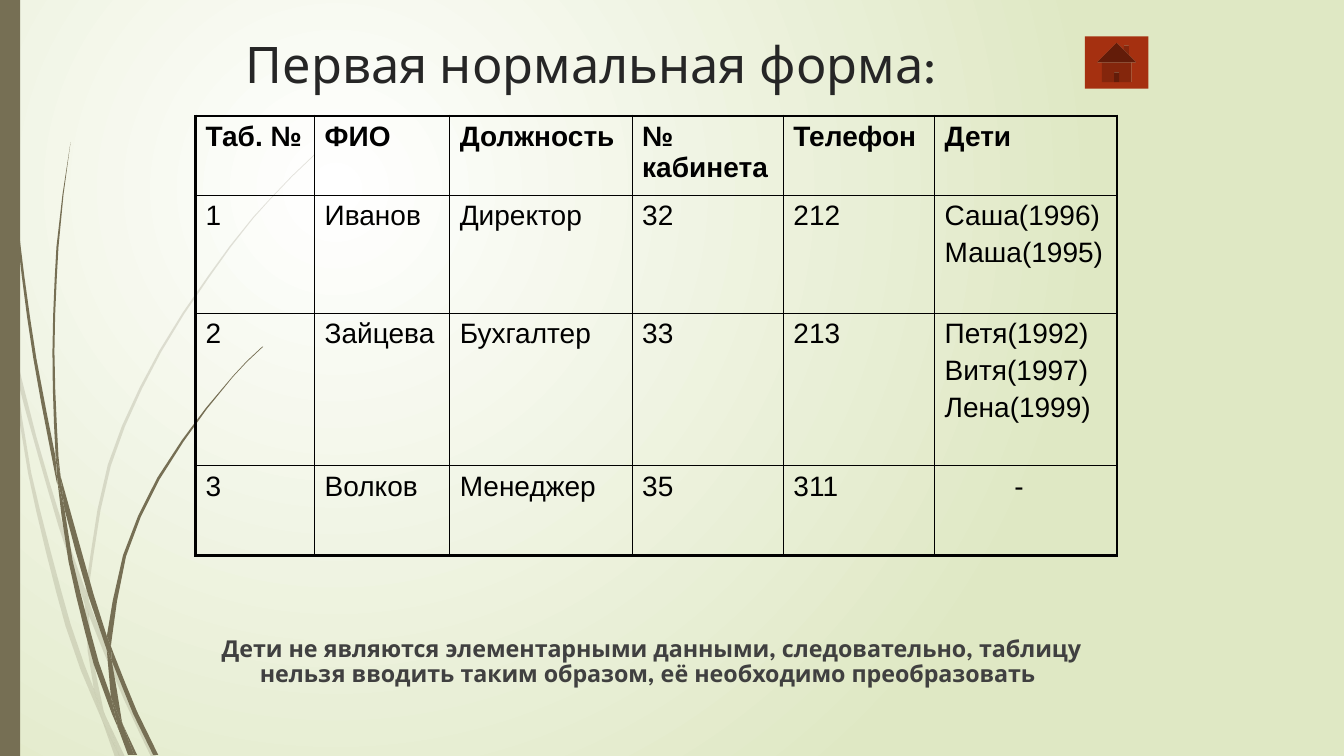
from dataclasses import dataclass
from math import dist

from lxml.etree import Element, SubElement
from pptx import Presentation
from pptx.dml.color import RGBColor
from pptx.enum.shapes import MSO_SHAPE
from pptx.oxml.ns import qn
from pptx.util import Emu, Pt

SCALE = 9144
STRIDE = 40
WHITE = RGBColor(0xFF, 0xFF, 0xFF)
LIME = RGBColor(0xDF, 0xE8, 0xC4)
OLIVE = RGBColor(0x76, 0x6F, 0x54)
RUST = RGBColor(0xA5, 0x30, 0x10)
BLACK = RGBColor(0, 0, 0)
DARK = RGBColor(0x26, 0x26, 0x26)
GREY = RGBColor(0x40, 0x40, 0x40)
Point = tuple[float, float]


@dataclass
class Blade:
    left: list[Point]
    right: list[Point]


@dataclass
class Label:
    box: tuple[int, int, int, int]
    text: str
    size: float
    color: RGBColor
    bold: bool = False
    hang: int = 0
    line: float = 1.0


PALE = [
    Blade([(0, 282), (0, 299), (10, 344), (11, 350)], [(0, 282), (9, 322), (11, 350)]),
    Blade([(14, 345), (17, 376), (58, 522), (84, 599)], [(14, 345), (36, 433), (62, 520), (85, 586)]),
    Blade([(88, 596), (88, 610), (123, 694), (150, 751)], [(88, 596), (92, 607), (127, 692), (155, 751)]),
    Blade([(105, 711), (119, 751)], [(105, 711), (124, 751)]),
    Blade([(11, 350), (28, 470), (65, 621), (92, 693), (101, 714)],
          [(11, 350), (17, 376), (31, 469), (70, 619), (93, 683), (99, 707), (101, 714)]),
    Blade([(84, 599), (87, 646), (93, 683), (96, 692), (105, 711)],
          [(84, 599), (88, 608), (91, 646), (103, 706), (105, 711)]),
    Blade([(312, 153), (289, 175), (268, 197), (228, 244), (158, 348), (107, 461), (85, 584), (85, 586)],
          [(312, 154), (290, 175), (268, 198), (229, 245), (160, 349), (110, 462), (88, 584), (88, 596)]),
    Blade([(101, 714), (114, 751)], [(101, 714), (119, 751)]),
    Blade([(85, 586), (84, 599), (88, 608)], [(85, 586), (88, 596), (88, 610)]),
    Blade([(93, 683), (99, 707), (101, 714), (119, 751)], [(93, 683), (96, 692), (105, 711), (119, 751)]),
]
BOLD = [
    Blade([(3, 0), (4, 48), (7, 110), (17, 233), (33, 355), (56, 477), (57, 481)],
          [(4, 0), (5, 48), (8, 109), (19, 232), (36, 355), (55, 453), (57, 481)]),
    Blade([(60, 472), (64, 505), (88, 592), (106, 645)], [(60, 472), (93, 590), (106, 631), (106, 645)]),
    Blade([(110, 641), (111, 656), (132, 708), (152, 749)], [(110, 641), (113, 649), (136, 706), (157, 749)]),
    Blade([(57, 477), (68, 557), (93, 659), (111, 708), (117, 722)],
          [(57, 477), (64, 505), (72, 556), (98, 657), (110, 691), (116, 717), (117, 722)]),
    Blade([(70, 141), (62, 193), (56, 245), (52, 349), (55, 449), (60, 472)],
          [(70, 141), (63, 193), (58, 245), (54, 349), (58, 453), (60, 472)]),
    Blade([(122, 719), (133, 749)], [(122, 719), (136, 749)]),
    Blade([(55, 449), (57, 477), (64, 505)], [(55, 449), (60, 472), (64, 505)]),
    Blade([(260, 344), (245, 358), (231, 373), (204, 405), (156, 474), (122, 551), (106, 631)],
          [(261, 344), (245, 359), (231, 374), (205, 406), (158, 476), (125, 552), (111, 633), (110, 641)]),
    Blade([(117, 722), (127, 749)], [(117, 722), (131, 749)]),
    Blade([(106, 645), (110, 691), (116, 706), (122, 719)], [(106, 645), (111, 656), (121, 716), (122, 719)]),
    Blade([(106, 631), (106, 645), (111, 656)], [(106, 631), (110, 641), (111, 656)]),
    Blade([(110, 691), (116, 717), (117, 722), (130, 749)], [(110, 691), (116, 706), (122, 719), (133, 749)]),
]
LABELS = [
    Label((234, 28, 900, 71), "Первая нормальная форма:", 36, DARK),
    Label((210, 627, 914, 79),
          "Дети не являются элементарными данными, следовательно, таблицу "
          "нельзя вводить таким образом, её необходимо преобразовать",
          16.6, GREY, True, 38, 0.9),
]
COLS = [118, 134, 181, 150, 150, 181]
ROWS = [79, 117, 151, 89]
CELLS = [
    ["Таб. №", "ФИО", "Должность", "№ кабинета", "Телефон", "Дети"],
    ["1", "Иванов", "Директор", "32", "212", "Саша(1996)\nМаша(1995)"],
    ["2", "Зайцева", "Бухгалтер", "33", "213", "Петя(1992)\nВитя(1997)\nЛена(1999)"],
    ["3", "Волков", "Менеджер", "35", "311", "-"],
]


def px(num: float) -> Emu:
    return Emu(round(num * SCALE))


def curve(knots: list[Point]) -> list[Point]:
    ends = [knots[0], *knots, knots[-1]]
    out = [knots[0]]
    for a, b, c, d in zip(ends, ends[1:], ends[2:], ends[3:]):
        steps = max(1, round(dist(b, c) / STRIDE))
        for step in range(1, steps + 1):
            t = step / steps
            out.append(tuple(
                (2 * q + (r - p) * t + (2 * p - 5 * q + 4 * r - s) * t ** 2
                 + (3 * q - p - 3 * r + s) * t ** 3) / 2
                for p, q, r, s in zip(a, b, c, d)))
    return out


def paint(shape, color: RGBColor, alpha: int = 100) -> None:
    shape.shadow.inherit = False
    shape.fill.solid()
    shape.fill.fore_color.rgb = color
    shape.line.fill.background()
    if alpha < 100:
        tone = shape.element.spPr.find(qn("a:solidFill"))[0]
        SubElement(tone, qn("a:alpha"), val=str(alpha * 1000))


def draw_blade(slide, blade: Blade, alpha: int) -> None:
    edge = [(px(x), px(y)) for x, y in curve(blade.left) + curve(blade.right)[::-1]]
    form = slide.shapes.build_freeform(*edge[0])
    form.add_line_segments(edge[1:], close=True)
    paint(form.convert_to_shape(), OLIVE, alpha)


def draw_block(slide, kind: MSO_SHAPE, box: tuple[int, int, int, int], color: RGBColor) -> None:
    paint(slide.shapes.add_shape(kind, *map(px, box)), color)


def add_run(para, text: str, font: str, size: float, color: RGBColor, bold: bool) -> None:
    run = para.add_run()
    run.text = text
    run.font.name = font
    run.font.size = Pt(size)
    run.font.bold = bold
    run.font.color.rgb = color


def indent(para, left: int, first: int = 0) -> None:
    props = para._p.get_or_add_pPr()
    props.set("marL", str(px(left)))
    props.set("indent", str(px(first)))


def draw_label(slide, label: Label) -> None:
    frame = slide.shapes.add_textbox(*map(px, label.box)).text_frame
    frame.word_wrap = True
    para = frame.paragraphs[0]
    para.line_spacing = label.line
    indent(para, label.hang, -label.hang)
    add_run(para, label.text, "League Spartan", label.size, label.color, label.bold)


def add_edges(cell, row: int, col: int) -> None:
    props = cell._tc.get_or_add_tcPr()
    outer = [col == 0, col == len(COLS) - 1, row == 0, row == len(ROWS) - 1]
    for spot, (side, thick) in enumerate(zip("LRTB", outer)):
        line = Element(qn(f"a:ln{side}"), w=str(Pt(2.25 if thick else 1)))
        fill = SubElement(line, qn("a:solidFill"))
        SubElement(fill, qn("a:srgbClr"), val=str(BLACK))
        props.insert(spot, line)


def draw_table(slide) -> None:
    box = (194, 115, sum(COLS), sum(ROWS))
    table = slide.shapes.add_table(len(ROWS), len(COLS), *map(px, box)).table
    table.first_row = table.horz_banding = False
    for col, width in zip(table.columns, COLS):
        col.width = px(width)
    for row, height in zip(table.rows, ROWS):
        row.height = px(height)
    for r, texts in enumerate(CELLS):
        for c, text in enumerate(texts):
            cell = table.cell(r, c)
            cell.fill.background()
            add_edges(cell, r, c)
            for n, part in enumerate(text.split("\n")):
                para = cell.text_frame.add_paragraph() if n else cell.text_frame.paragraphs[0]
                para.space_before = Pt(4)
                if part == "-":
                    indent(para, 69)
                add_run(para, part, "Arial", 20, BLACK, r == 0)


def draw_ground(slide) -> None:
    fill = slide.background.fill
    fill.gradient()
    for stop, color in zip(fill.gradient_stops, (WHITE, LIME)):
        stop.color.rgb = color
    grad = slide.element.find(".//" + qn("a:gradFill"))
    grad.remove(grad.find(qn("a:lin")))
    ring = SubElement(grad, qn("a:path"), path="circle")
    SubElement(ring, qn("a:fillToRect"), l="50000", t="50000", r="100000", b="100000")


def main() -> None:
    deck = Presentation()
    deck.slide_width, deck.slide_height = px(1333), px(750)
    slide = deck.slides.add_slide(deck.slide_layouts[6])
    draw_ground(slide)
    for blades, alpha in ((PALE, 20), (BOLD, 100)):
        for blade in blades:
            draw_blade(slide, blade, alpha)
    draw_block(slide, MSO_SHAPE.RECTANGLE, (0, 0, 20, 750), OLIVE)
    for label in LABELS:
        draw_label(slide, label)
    draw_table(slide)
    draw_block(slide, MSO_SHAPE.ACTION_BUTTON_HOME, (1076, 36, 63, 52), RUST)
    deck.save("out.pptx")


if __name__ == "__main__":
    main()
